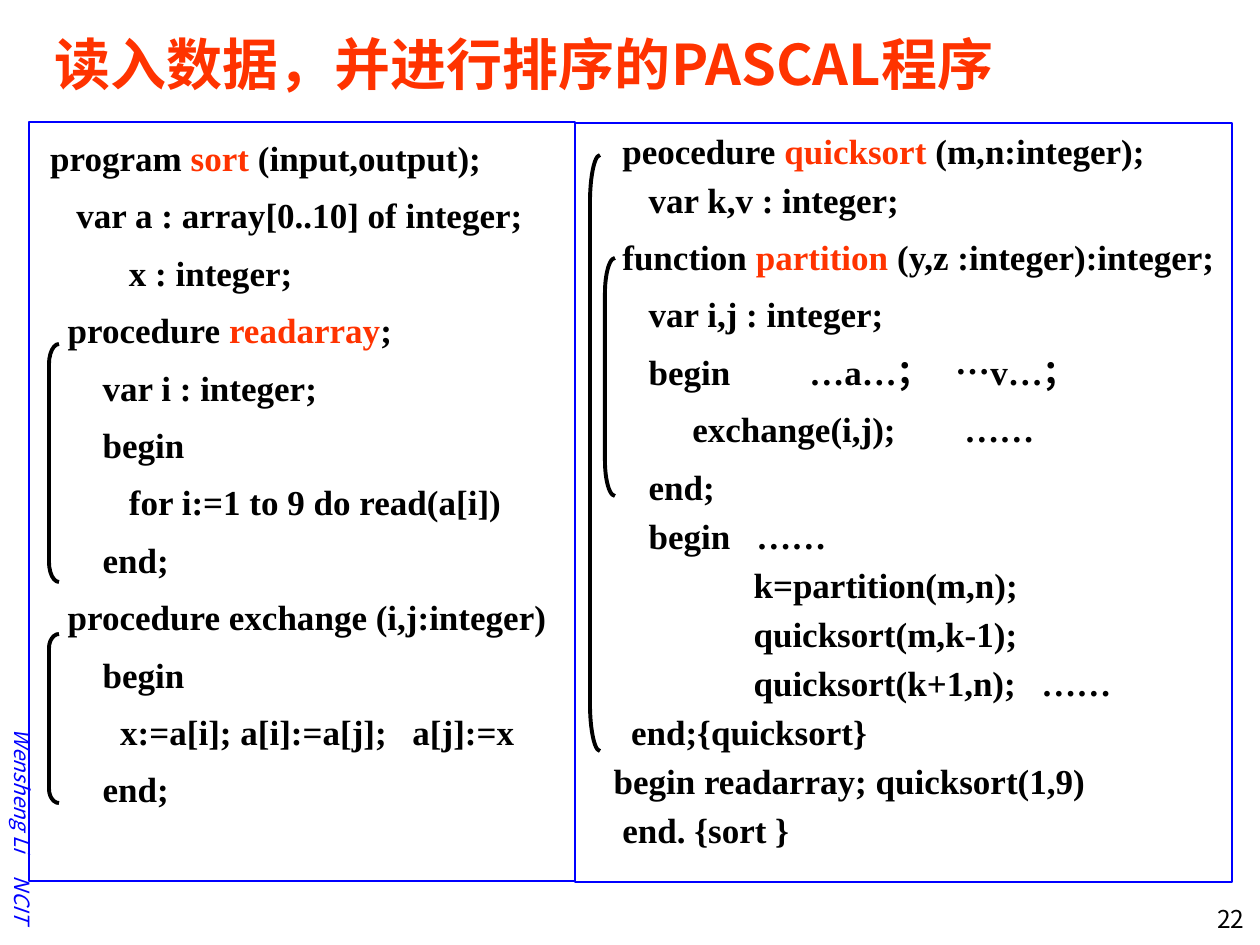
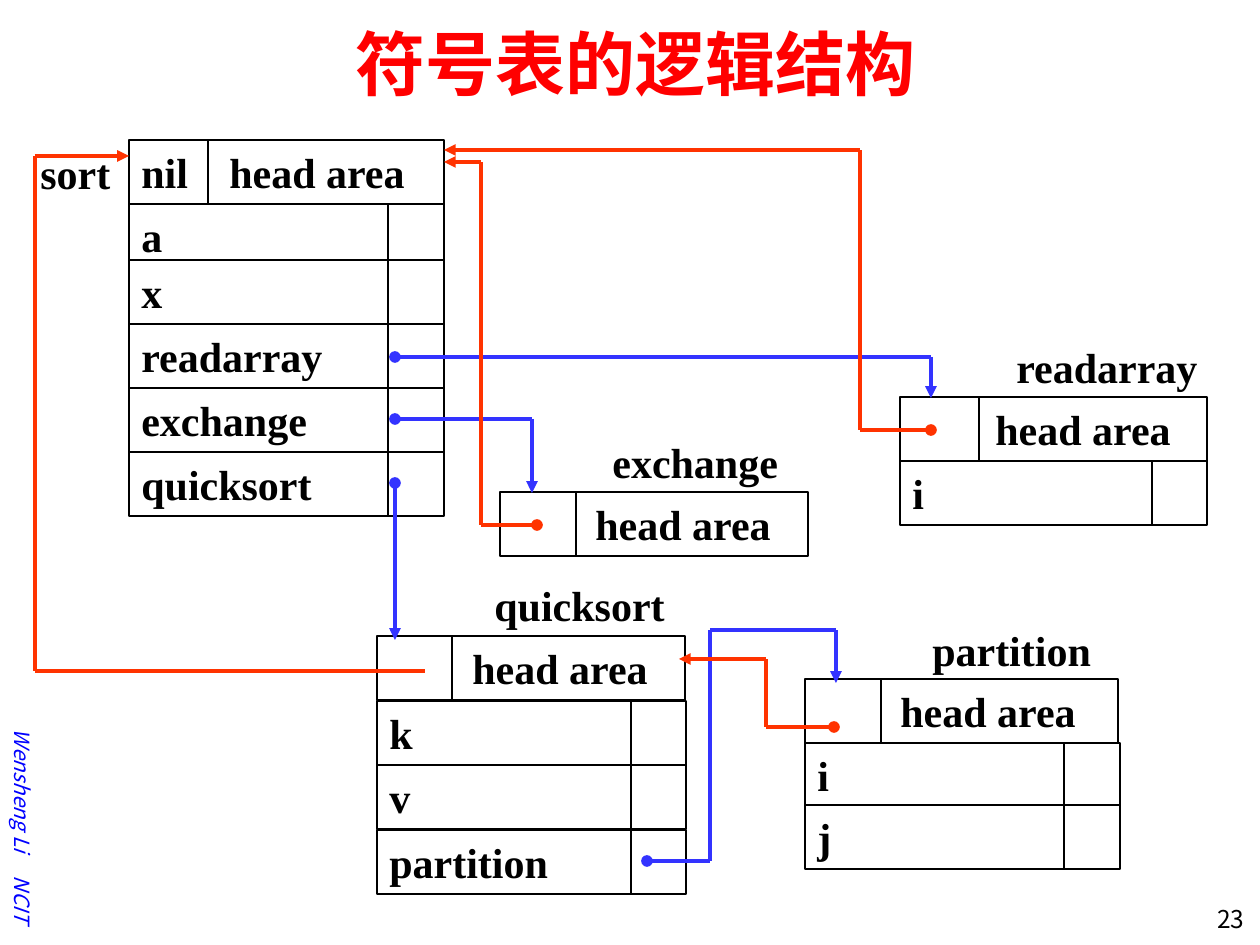
from lxml import etree
from pptx import Presentation
from pptx import util as u
from pptx.dml.color import RGBColor
from pptx.enum import shapes, text
from pptx.oxml import ns

SCALE = 914400 / 126
COLOURS = {
    "black": "000000",
    "white": "FFFFFF",
    "border": "0000FF",
    "call": "3333FF",
    "accent": "FF3300",
    "title": "FF0000",
}
SANS = "Noto Sans CJK SC"
SERIF = "Times New Roman"
SPACE = 8.75
ROW = 64
LEFT, CENTER, RIGHT = text.PP_ALIGN.LEFT, text.PP_ALIGN.CENTER, text.PP_ALIGN.RIGHT


def px(value):
    return u.Emu(round(value * SCALE))


def colour(name):
    return RGBColor.from_string(COLOURS[name])


def child(parent, tag, **attributes):
    return etree.SubElement(parent, ns.qn(tag), attributes)


class Deck:
    def __init__(self):
        self.presentation = Presentation()
        self.presentation.slide_width = px(1260)
        self.presentation.slide_height = px(945)
        self.slide = None

    def new_slide(self, title, number, size, title_colour, align=LEFT):
        layout = self.presentation.slide_layouts[6]
        self.slide = self.presentation.slides.add_slide(layout)
        footer = self.label("Wensheng Li\tNCIT", -90, 810, 225, 38, size=12, font=SANS,
                            name="border", bold=False, italic=True, stops=[147], middle=True)
        footer.rotation = 90
        self.label(number, 1152, 898, 105, 45, size=14, font=SANS, bold=False, align=RIGHT)
        self.label(title, 42, 21, 1187, 84, size=size, font=SANS, name=title_colour,
                   align=align, middle=True)

    def run(self, paragraph, content, size, font=SERIF, name="black", bold=True, italic=False):
        run = paragraph.add_run()
        run.text = content
        run.font.size = u.Pt(size)
        run.font.bold = bold
        run.font.italic = italic
        run.font.color.rgb = colour(name)
        run.font.name = font
        child(run.font._element, "a:ea", typeface=SANS)

    def tabs(self, paragraph, stops):
        tab_list = child(paragraph._p.get_or_add_pPr(), "a:tabLst")
        for stop in stops:
            child(tab_list, "a:tab", pos=str(px(stop)), algn="l")

    def label(self, content, left, top, width, height, size=24, font=SERIF, name="black",
              bold=True, italic=False, align=LEFT, stops=(), middle=False):
        shape = self.slide.shapes.add_textbox(px(left), px(top), px(width), px(height))
        frame = shape.text_frame
        frame.word_wrap = True
        if middle:
            frame.vertical_anchor = text.MSO_ANCHOR.MIDDLE
        paragraph = frame.paragraphs[0]
        paragraph.alignment = align
        if stops:
            self.tabs(paragraph, stops)
        self.run(paragraph, content, size, font, name, bold, italic)
        return shape

    def shape(self, kind, left, top, width, height, line="black", weight=0.75, fill=None):
        shape = self.slide.shapes.add_shape(kind, px(left), px(top), px(width), px(height))
        shape.shadow.inherit = False
        if fill:
            shape.fill.solid()
            shape.fill.fore_color.rgb = colour(fill)
        else:
            shape.fill.background()
        shape.line.color.rgb = colour(line)
        shape.line.width = u.Pt(weight)
        return shape

    def code(self, left, top, width, height, lines):
        shape = self.shape(shapes.MSO_SHAPE.RECTANGLE, left, top, width, height, "border")
        frame = shape.text_frame
        frame.word_wrap = True
        frame.vertical_anchor = text.MSO_ANCHOR.TOP
        for index, (spacing, spaces, content, *stops) in enumerate(lines):
            paragraph = frame.add_paragraph() if index else frame.paragraphs[0]
            paragraph.alignment = LEFT
            paragraph.line_spacing = spacing
            paragraph.space_before = u.Pt(4)
            indent = spaces * SPACE
            if stops:
                self.tabs(paragraph, [indent, *stops])
                content = "\t" + content
            else:
                paragraph._p.get_or_add_pPr().set("marL", str(px(indent)))
            for part, piece in enumerate(content.split("*")):
                self.run(paragraph, piece, 20, name="accent" if part % 2 else "black")

    def bracket(self, left, top, height, curve):
        shape = self.shape(shapes.MSO_SHAPE.LEFT_BRACKET, left, top, 10, height, weight=2.25)
        shape.adjustments[0] = curve

    def line(self, start, end, name="black", weight=0.75, head=None, tail=None):
        connector = self.slide.shapes.add_connector(
            shapes.MSO_CONNECTOR.STRAIGHT, px(start[0]), px(start[1]), px(end[0]), px(end[1]))
        connector.line.color.rgb = colour(name)
        connector.line.width = u.Pt(weight)
        outline = connector.line._get_or_add_ln()
        if head:
            child(outline, "a:headEnd", type=head)
        if tail:
            child(outline, "a:tailEnd", type=tail)
        child(connector._element.spPr, "a:effectLst")

    def route(self, name, *points, head="oval", tail="triangle"):
        last = len(points) - 2
        for index, (start, end) in enumerate(zip(points, points[1:])):
            self.line(start, end, name, 2.25,
                      head if index == 0 else None, tail if index == last else None)

    def cell(self, content, left, top, width, height, divider, fill=None, stops=()):
        shape = self.shape(shapes.MSO_SHAPE.RECTANGLE, left, top, width, height, fill=fill)
        frame = shape.text_frame
        frame.word_wrap = True
        frame.vertical_anchor = text.MSO_ANCHOR.TOP
        paragraph = frame.paragraphs[0]
        paragraph.alignment = LEFT
        if stops:
            self.tabs(paragraph, stops)
        self.run(paragraph, content, 24)
        self.line((divider, top), (divider, top + height - 1))

    def symbol_table(self, left, top, width, divider, rows=(), row_width=0, row_divider=0,
                     parent="", stop=83):
        self.cell(parent + "\thead area", left, top, width, ROW, divider, stops=[stop])
        for content, row_top, height, fill in rows:
            self.cell(content, left, row_top, row_width, height, row_divider, fill)


deck = Deck()

deck.new_slide("读入数据，并进行排序的PASCAL程序", "22", 32, "accent")
deck.code(29, 122, 546, 759, [
    (1.2, 1, "program *sort *(input,output);"),
    (1.2, 4, "var a : array[0..10] of integer;"),
    (1.2, 10, "x : integer;"),
    (1.2, 3, "procedure *readarray*;"),
    (1.2, 7, "var i : integer;"),
    (1.2, 7, "begin"),
    (1.2, 10, "for i:=1 to 9 do read(a[i])"),
    (1.2, 7, "end;"),
    (1.2, 3, "procedure exchange (i,j:integer)"),
    (1.2, 7, "begin"),
    (1.2, 9, "x:=a[i]; a[i]:=a[j];\ta[j]:=x", 371),
    (1.2, 7, "end;"),
])
deck.code(575, 123, 657, 759, [
    (1.0, 4, "peocedure *quicksort *(m,n:integer);"),
    (1.0, 7, "var k,v : integer;"),
    (1.2, 4, "function *partition *(y,z :integer):integer;"),
    (1.2, 7, "var i,j : integer;"),
    (1.2, 7, "begin\t…a…；\t…v…；", 222, 368),
    (1.2, 12, "exchange(i,j);\t……", 377),
    (1.2, 7, "end;"),
    (1.0, 7, "begin\t……", 169),
    (1.0, 19, "k=partition(m,n);"),
    (1.0, 19, "quicksort(m,k-1);"),
    (1.0, 19, "quicksort(k+1,n);\t……", 454),
    (1.0, 5, "end;{quicksort}"),
    (1.0, 3, "begin readarray; quicksort(1,9)"),
    (1.0, 4, "end. {sort }"),
])
for bracket in [(49, 344, 238, 2.02), (49, 634, 169, 1.43),
                (605, 258, 238, 3.53), (590, 155, 596, 4.79)]:
    deck.bracket(*bracket)

deck.new_slide("符号表的逻辑结构", "23", 40, "title", CENTER)
for name, left, top, width in [("sort", 28, 141, 105), ("readarray", 1004, 335, 215),
                               ("exchange", 600, 430, 205), ("quicksort", 482, 573, 210),
                               ("partition", 920, 618, 200)]:
    deck.label(name, left, top, width, 63)

deck.symbol_table(129, 140, 315, 208, [
    ("a", 204, 59, None),
    ("x", 260, ROW, "white"),
    ("readarray", 324, ROW, None),
    ("exchange", 388, ROW, None),
    ("quicksort", 452, ROW, None),
], 315, 388, "nil", 88)
deck.symbol_table(900, 397, 307, 979, [("i", 461, ROW, None)], 307, 1152)
deck.symbol_table(500, 492, 308, 576)
deck.symbol_table(377, 636, 308, 452, [
    ("k", 701, ROW, None),
    ("v", 765, ROW, None),
    ("partition", 830, ROW, None),
], 309, 631)
deck.symbol_table(805, 679, 313, 881, [
    ("i", 743, ROW, None),
    ("j", 805, ROW, "white"),
], 315, 1064)

deck.route("call", (395, 357), (931, 357), (931, 398))
deck.route("call", (395, 419), (532, 419), (532, 493))
deck.route("call", (395, 483), (395, 640))
deck.route("call", (647, 861), (710, 861), (710, 630), (836, 630), (836, 683))
deck.route("accent", (931, 430), (860, 430), (860, 150), (444, 150))
deck.route("accent", (537, 525), (481, 525), (481, 162), (444, 162))
deck.route("accent", (834, 727), (766, 727), (766, 659), (679, 659))
deck.route("accent", (425, 671), (35, 671), (35, 156), (129, 156), head=None)

deck.presentation.save("out.pptx")
